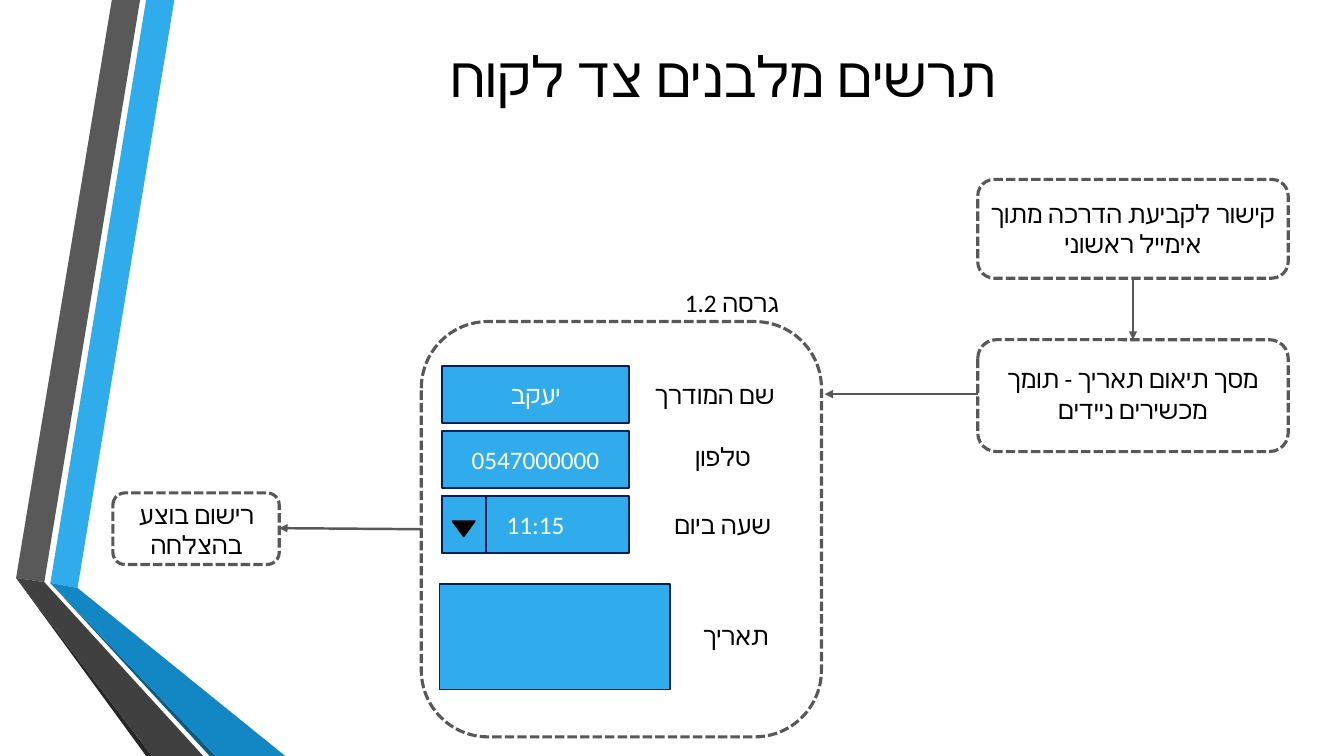
from lxml import etree
from pptx import Presentation
from pptx.dml.color import RGBColor
from pptx.enum.dml import MSO_LINE
from pptx.enum.shapes import MSO_CONNECTOR, MSO_SHAPE
from pptx.enum.text import MSO_ANCHOR, MSO_AUTO_SIZE, PP_ALIGN
from pptx.oxml.ns import qn
from pptx.util import Inches, Pt

RECTANGLE, ROUNDED = MSO_SHAPE.RECTANGLE, MSO_SHAPE.ROUNDED_RECTANGLE
TRIANGLE = MSO_SHAPE.ISOSCELES_TRIANGLE
STRAIGHT = MSO_CONNECTOR.STRAIGHT
DASH = MSO_LINE.SQUARE_DOT
CENTER, MIDDLE, TOP = PP_ALIGN.CENTER, MSO_ANCHOR.MIDDLE, MSO_ANCHOR.TOP
GROW, FIXED = MSO_AUTO_SIZE.SHAPE_TO_FIT_TEXT, MSO_AUTO_SIZE.NONE

FONT = "Calibri"
BLACK, WHITE, BLUE, NAVY, GRAY = "000000", "FFFFFF", "30ACEC", "002060", "585858"

# The slide is a grid of 160 columns by 90 rows of square cells.
CELL = Inches(1) // 12
COLUMNS, ROWS = 160, 90


def paint(shape, fill=None, line=None, width=1.25):
    """Set the fill and line of a shape from hex strings; None means empty."""
    shape.shadow.inherit = False
    for part, color in ((shape.fill, fill), (shape.line.fill, line)):
        if color:
            part.solid()
            part.fore_color.rgb = RGBColor.from_string(color)
        else:
            part.background()
    if line:
        shape.line.width = Pt(width)


def write(shape, text, color=BLACK, size=18, anchor=TOP, auto_size=GROW):
    """Put one centred paragraph into a shape."""
    frame = shape.text_frame
    frame.text = text
    for name, value in {"word_wrap": True, "vertical_anchor": anchor,
                        "auto_size": auto_size}.items():
        setattr(frame, name, value)
    paragraph = frame.paragraphs[0]
    paragraph.alignment = CENTER
    font = paragraph.runs[0].font
    font.color.rgb = RGBColor.from_string(color)
    for name, value in {"name": FONT, "size": Pt(size)}.items():
        setattr(font, name, value)
    properties = paragraph.runs[0]._r.get_or_add_rPr()
    etree.SubElement(properties, qn("a:cs")).set("typeface", FONT)


presentation = Presentation()
presentation.slide_width = COLUMNS * CELL
presentation.slide_height = ROWS * CELL
slide = presentation.slides.add_slide(presentation.slide_layouts[5])
shapes = slide.shapes

# Title
title = shapes.title
for name, cells in {"left": 41.64, "top": 2.28, "width": 88.92, "height": 13.32}.items():
    setattr(title, name, round(cells * CELL))
write(title, "תרשים מלבנים צד לקוח", size=40, anchor=MIDDLE, auto_size=FIXED)
title.text_frame.paragraphs[0]._p.get_or_add_pPr().set("rtl", "1")

# Folded ribbons on the left edge
gray_fold, gray_inner, gray_foot = (1.92, 68.8), (5.28, 69.3), (18.1, ROWS)
blue_fold, blue_inner, blue_foot = (6, 69.4), (9.24, 70), (25.68, ROWS)
ribbons = [
    (BLUE, [blue_fold, blue_inner, (20.76, 0), (17.4, 0)]),
    ("595959", [gray_fold, gray_inner, (16.68, 0), (13.32, 0)]),
    ("262626", [gray_fold, (17.4, ROWS), gray_foot]),
    ("0C5A82", [blue_fold, (24.96, ROWS), blue_foot]),
    ("1287C3", [blue_fold, blue_foot, (33.96, ROWS), blue_inner]),
    ("404040", [gray_fold, gray_foot, (24.2, ROWS), gray_inner]),
]
for color, corners in ribbons:
    points = [(round(x * CELL), round(y * CELL)) for x, y in corners]
    builder = shapes.build_freeform(*points[0])
    builder.add_line_segments(points[1:], close=True)
    paint(builder.convert_to_shape(), color)

# Dashed boxes: link, scheduling screen, form frame, confirmation
step_left, step_width = 116.4, 36.96
form_left, form_width = 50.16, 47.64
dashed_boxes = [
    (step_left, 21.36, step_width, 11.76),
    (step_left, 40.44, step_width, 13.32),
    (form_left, 38.28, form_width, 49.44),
    (13.44, 58.68, 19.8, 8.52),
]
for box in dashed_boxes:
    shape = shapes.add_shape(ROUNDED, *[round(cells * CELL) for cells in box])
    paint(shape, line=GRAY, width=2.25)
    shape.line.dash_style = DASH

# Form fields, the first three on an equal pitch
field_left, field_top, field_pitch = 52.6, 43.56, 7.74
field_width, field_height = 22.32, 6.84
time_top = field_top + 2 * field_pitch
fields = [
    (field_left, field_top + row * field_pitch, field_width, field_height, text)
    for row, text in enumerate(["יעקב", "0547000000", "11:15"])
]
fields += [
    (field_left, time_top, 5.28, field_height, ""),
    (52.32, 69.48, 27.48, 12.6, ""),
]
for *box, text in fields:
    shape = shapes.add_shape(RECTANGLE, *[round(cells * CELL) for cells in box])
    paint(shape, BLUE, NAVY)
    if text:
        write(shape, text, WHITE, anchor=MIDDLE, auto_size=FIXED)

drop_down = shapes.add_shape(
    TRIANGLE, *[round(cells * CELL) for cells in (53.88, 62.04, 2.64, 1.8)])
drop_down.rotation = 180
paint(drop_down, BLACK, BLACK)

# Captions of the boxes and of the form fields
one_line, two_lines = 4.8, 8.52
captions = [
    (step_left, 23.04, step_width, two_lines, "קישור לקביעת הדרכה מתוך אימייל ראשוני"),
    (step_left, 42.72, step_width, two_lines, "מסך תיאום תאריך - תומך מכשירים ניידים"),
    (13.56, 58.8, 19.68, two_lines, "רישום בוצע בהצלחה"),
    (74.04, 33.6, 26.16, one_line, "גרסה 1.2"),
    (72, 44.52, 26.16, one_line, "שם המודרך"),
    (75.6, 51.96, 20.88, one_line, "טלפון"),
    (75.6, 60, 20.88, one_line, "שעה ביום"),
    (77.16, 73.32, 20.88, one_line, "תאריך"),
]
for *box, text in captions:
    write(shapes.add_textbox(*[round(cells * CELL) for cells in box]), text)

# Arrows between the steps
step_middle = step_left + step_width / 2
arrows = [
    (step_middle, 33.12, step_middle, 40.44, 1.25),
    (step_left, 46.92, 98.16, 46.92, 1.25),
    (form_left, 63, 33.24, 62.88, 1.75),
]
for *ends, width in arrows:
    arrow = shapes.add_connector(STRAIGHT, *[round(cells * CELL) for cells in ends])
    arrow.line.color.rgb = RGBColor.from_string(GRAY)
    arrow.line.width = Pt(width)
    outline = arrow.line._get_or_add_ln()
    etree.SubElement(outline, qn("a:tailEnd")).set("type", "triangle")
    etree.SubElement(arrow._element.spPr, qn("a:effectLst"))

presentation.save("out.pptx")
